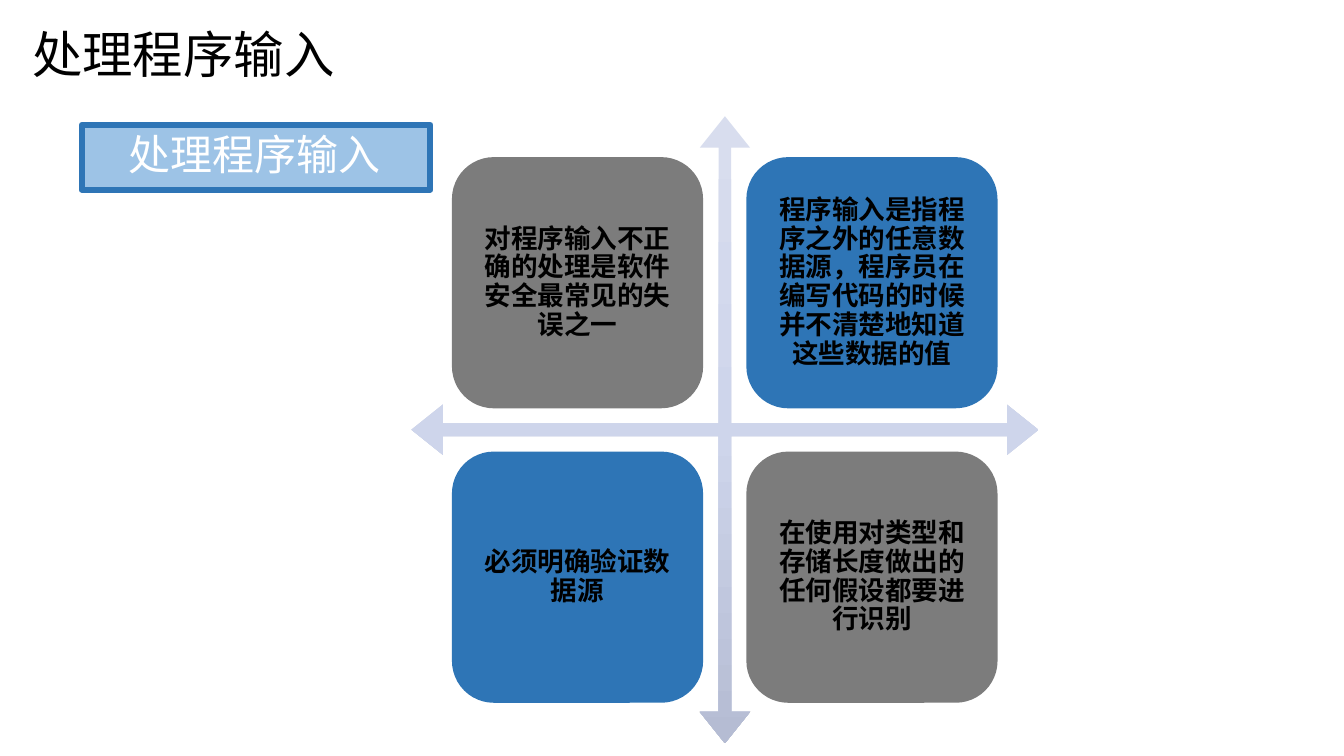
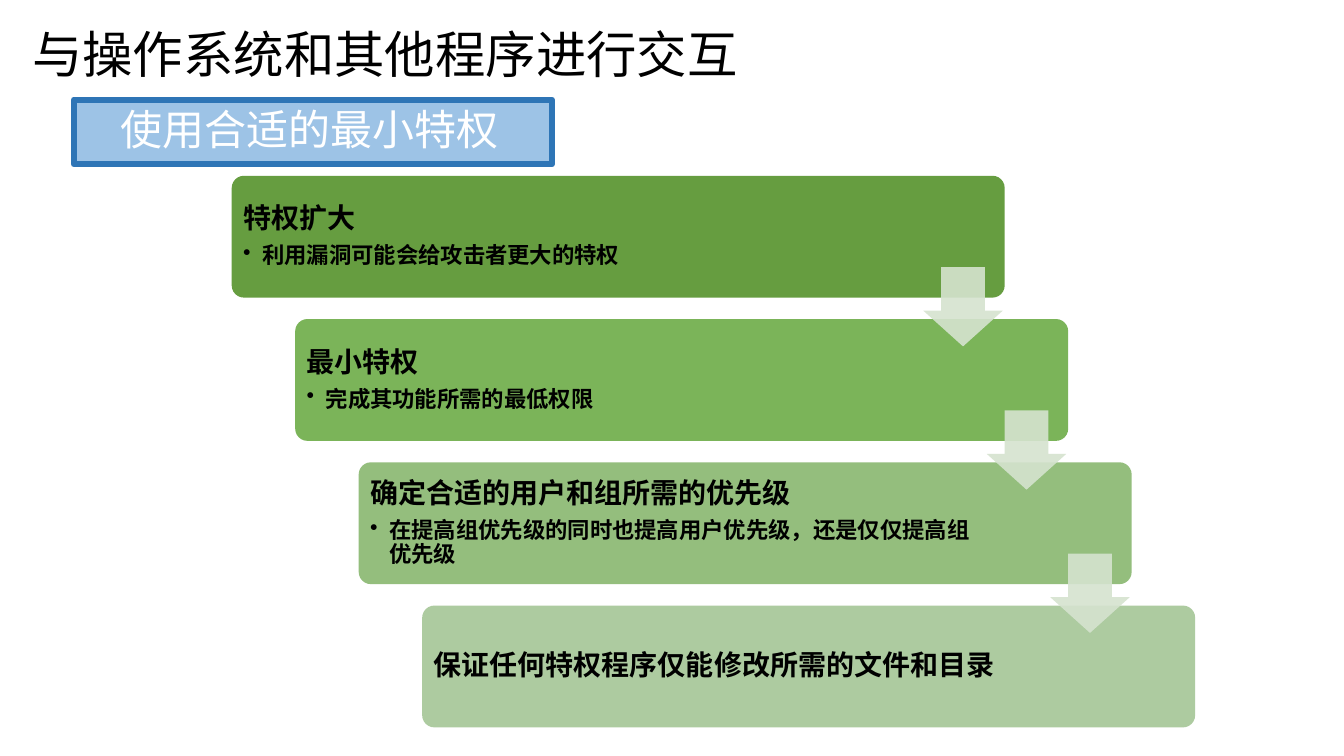
"""Builds two slides on safe program input and least privilege."""
from copy import deepcopy

from lxml import etree
from pptx import Presentation
from pptx.dml.color import RGBColor
from pptx.enum import shapes, text
from pptx.oxml import ns
from pptx.util import Cm, Pt

FONT = "Noto Sans CJK SC"
HUES = {
    "ink": "000000", "white": "FFFFFF", "sky": "9DC3E6", "blue": "2E75B6",
    "gray": "7C7C7C", "arrow": "D5E3CF",
}
CROSS = [(0, "D8DDEE"), (0.5, "CED5EB"), (1, "B5BCD3")]
GREENS = ["669D40", "7BB459", "94BE7D", "ADCBA0"]

INPUT = {
    "title": "处理程序输入",
    "tag": ("处理程序输入", 2.06, 3.15, 8.79),
    "cells": [
        ("对程序输入不正确的处理是软件安全最常见的失误之一", "gray"),
        ("程序输入是指程序之外的任意数据源，程序员在编写代码的时候并不清楚地知道这些数据的值", "blue"),
        ("必须明确验证数据源", "blue"),
        ("在使用对类型和存储长度做出的任何假设都要进行识别", "gray"),
    ],
}
RIGHTS = {
    "title": "与操作系统和其他程序进行交互",
    "tag": ("使用合适的最小特权", 1.86, 2.51, 12.05),
    "steps": [
        ("特权扩大", "利用漏洞可能会给攻击者更大的特权"),
        ("最小特权", "完成其功能所需的最低权限"),
        ("确定合适的用户和组所需的优先级", "在提高组优先级的同时也提高用户优先级，还是仅仅提高组优先级"),
        ("保证任何特权程序仅能修改所需的文件和目录",),
    ],
}
KIND = shapes.MSO_SHAPE
ALIGN = text.PP_ALIGN


def rgb(hue):
    return RGBColor.from_string(HUES.get(hue, hue))


def add(parent, tag, **attrs):
    return etree.SubElement(parent, ns.qn(tag), attrs)


def draw(slide, kind, x, y, w, h, fill=None, adj=()):
    item = slide.shapes.add_shape(kind, Cm(x), Cm(y), Cm(w), Cm(h))
    item.shadow.inherit = False
    item.line.fill.background()
    for i, part in enumerate(adj):
        item.adjustments[i] = part
    if fill:
        item.fill.solid()
        item.fill.fore_color.rgb = rgb(fill)
    return item


def inset(item, left, top, right, low):
    frame = item.text_frame
    frame.word_wrap = True
    frame.vertical_anchor = text.MSO_ANCHOR.MIDDLE
    frame.margin_left, frame.margin_top = Cm(left), Cm(top)
    frame.margin_right, frame.margin_bottom = Cm(right), Cm(low)
    return frame


def style(para, size, hue="ink", bold=False, align=ALIGN.LEFT, lead=0.9):
    para.alignment = align
    para.line_spacing = lead
    for run in para.runs:
        run.font.size, run.font.bold = Pt(size), bold
        run.font.name = FONT
        run.font.color.rgb = rgb(hue)
        add(run.font._element, "a:ea", typeface=FONT)


def start(deck, data):
    slide = deck.slides.add_slide(deck.slide_layouts[6])
    box = slide.shapes.add_textbox(Cm(0.53), 0, Cm(30), Cm(2.69))
    frame = inset(box, 0.28, 0.15, 0.28, 0.15)
    frame.text = data["title"]
    style(frame.paragraphs[0], 36, lead=1)

    words, x, y, w = data["tag"]
    tag = draw(slide, KIND.RECTANGLE, x, y, w, 1.63, "sky")
    tag.line.color.rgb = rgb("blue")
    tag.line.width = Pt(4.33)
    add(tag.line.fill._xPr, "a:round")
    frame = inset(tag, 1.19, 0, 0, 0)
    frame.text = words
    style(frame.paragraphs[0], 30, "white")
    return slide


def grid(slide, cells):
    cross = draw(slide, KIND.QUAD_ARROW, 10.37, 2.93, 15.8, 15.8,
                 adj=(0.02, 0.04, 0.05))
    cross.fill.gradient()
    cross.fill.gradient_angle = 270
    stops = cross._element.spPr.find(".//" + ns.qn("a:gsLst"))
    stops.insert(1, deepcopy(stops[0]))
    for stop, (spot, hue) in zip(cross.fill.gradient_stops, CROSS):
        stop.position = spot
        stop.color.rgb = rgb(hue)

    for i, (words, hue) in enumerate(cells):
        row, col = divmod(i, 2)
        cell = draw(slide, KIND.ROUNDED_RECTANGLE, 11.39 + 7.42 * col,
                    3.96 + 7.42 * row, 6.33, 6.33, hue)
        frame = inset(cell, 0.2, 0.2, 0.2, 0.2)
        frame.text = words
        style(frame.paragraphs[0], 19, bold=True, align=ALIGN.CENTER)


def stairs(slide, steps):
    spots = [(5.84 + 1.6 * i, 4.43 + 3.61 * i) for i in range(len(steps))]
    for (x, y), (head, *notes), hue in zip(spots, steps, GREENS):
        step = draw(slide, KIND.ROUNDED_RECTANGLE, x, y, 19.48, 3.07, hue, (0.1,))
        frame = inset(step, 0.2, 0.2, 3.82, 0.2)
        frame.text = head
        style(frame.paragraphs[0], 20, bold=True)
        frame.paragraphs[0].space_after = Pt(7)
        for note in notes:
            para = frame.add_paragraph()
            para.text = note
            para.level = 1
            props = para._p.get_or_add_pPr()
            props.set("marL", str(Cm(0.48)))
            props.set("indent", str(-Cm(0.48)))
            add(props, "a:buChar", char="•")
            style(para, 16, bold=True)
    for x, y in spots[:-1]:
        arrow = draw(slide, KIND.DOWN_ARROW, x + 17.43, y + 2.3, 2, 2,
                     "arrow", (0.55, 0.45))
        tint = arrow._element.spPr.find(".//" + ns.qn("a:srgbClr"))
        add(tint, "a:alpha", val="90000")


def main():
    deck = Presentation()
    deck.slide_width, deck.slide_height = Cm(33.87), Cm(19.05)
    grid(start(deck, INPUT), INPUT["cells"])
    stairs(start(deck, RIGHTS), RIGHTS["steps"])
    deck.save("out.pptx")


if __name__ == "__main__":
    main()
